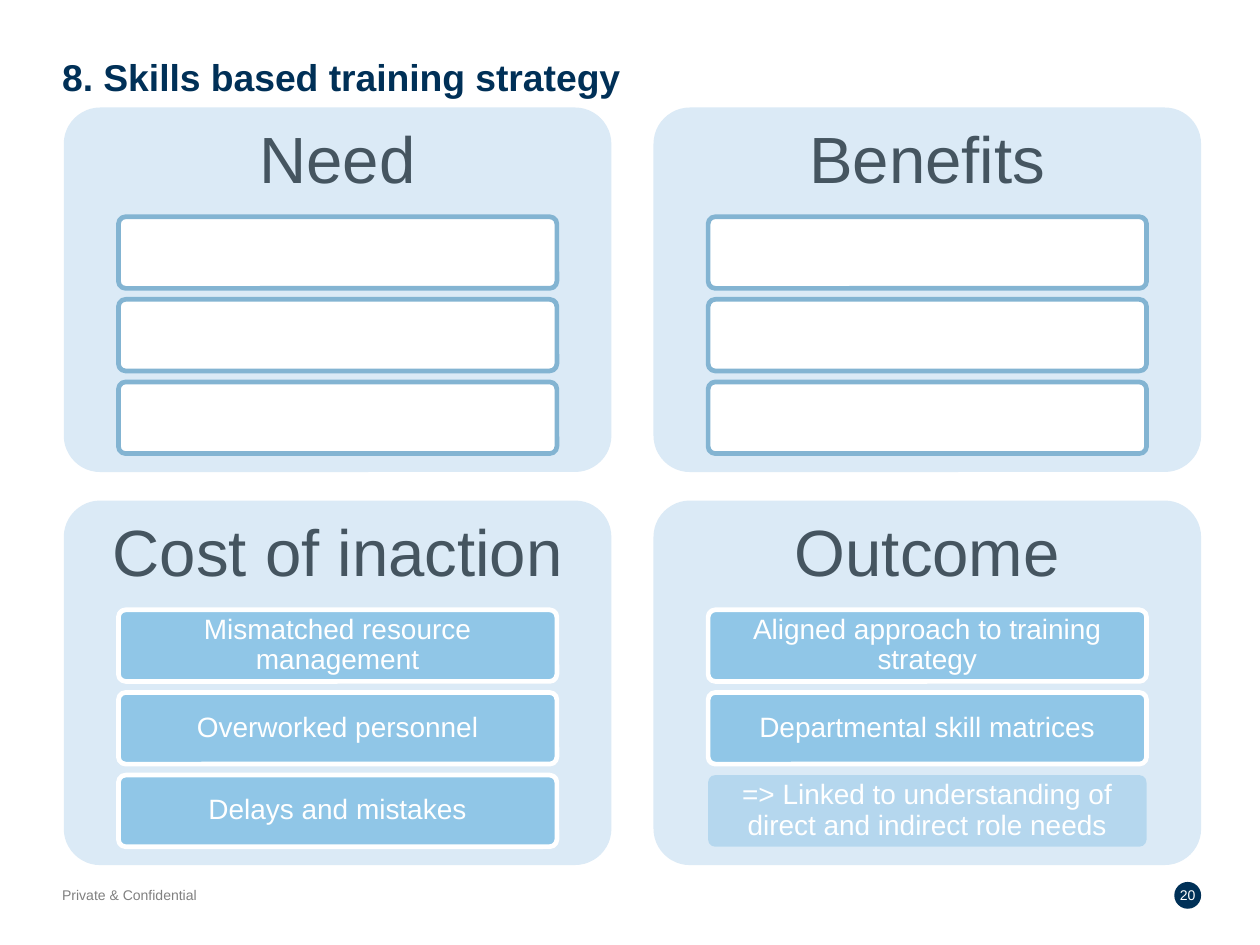
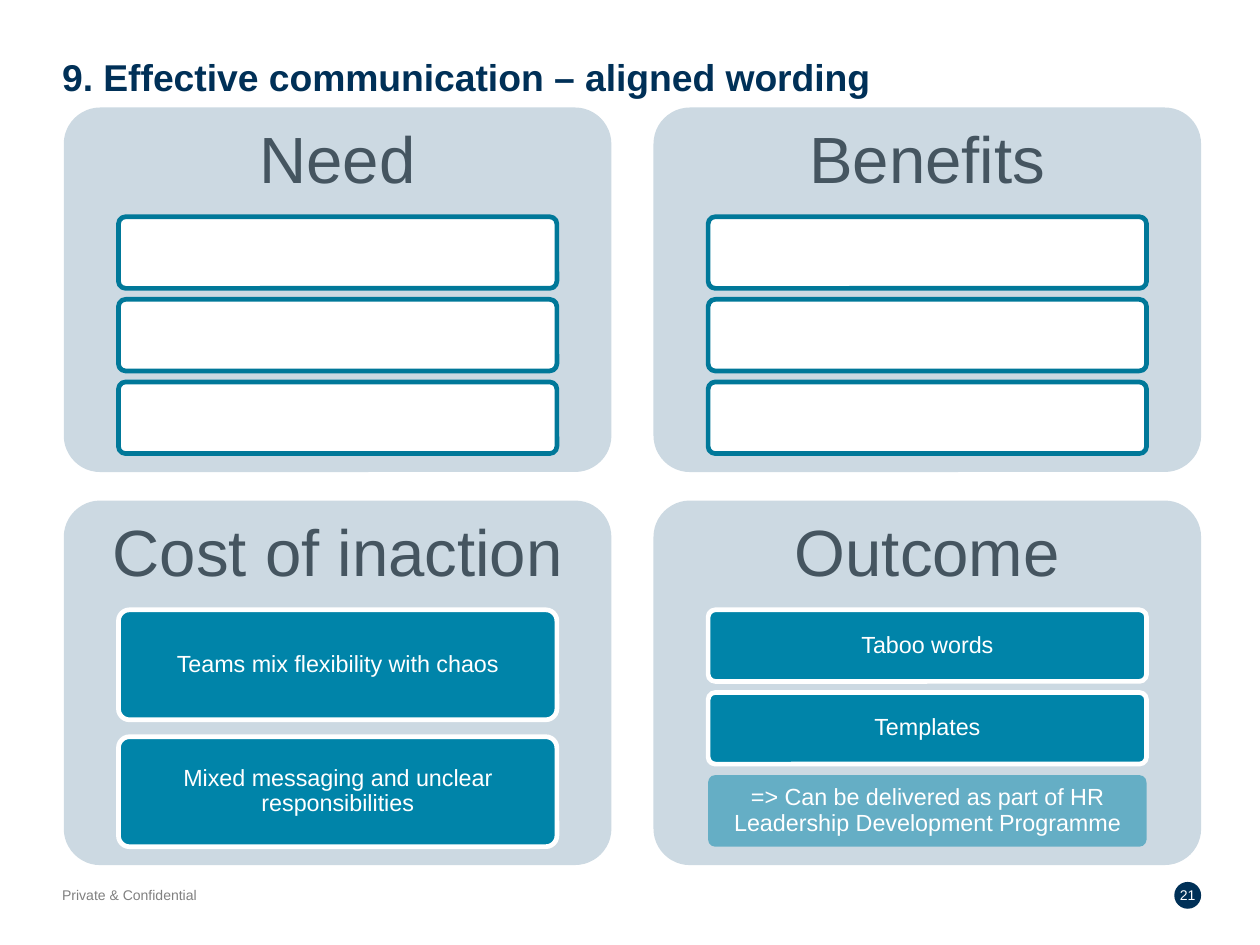
"""Build two strategy slides, each with four panels of stacked cards."""
from dataclasses import dataclass
from typing import Optional

from lxml.etree import SubElement
from pptx import Presentation
from pptx.dml.color import RGBColor
from pptx.enum.shapes import MSO_SHAPE as SHAPE
from pptx.enum.text import MSO_ANCHOR as ANCHOR, PP_ALIGN as ALIGN
from pptx.oxml.ns import qn
from pptx.util import Inches, Pt

WHITE = RGBColor(0xFF, 0xFF, 0xFF)
NAVY = RGBColor(0x00, 0x30, 0x57)
SLATE = RGBColor(0x45, 0x55, 0x60)
GREY = RGBColor(0x80, 0x80, 0x80)
ICE = RGBColor(0xDB, 0xEA, 0xF6)
SKY = RGBColor(0x90, 0xC6, 0xE7)
SKY_EDGE = RGBColor(0x83, 0xB4, 0xD2)
MIST = RGBColor(0xCC, 0xD9, 0xE2)
TEAL = RGBColor(0x00, 0x84, 0xA9)
TEAL_EDGE = RGBColor(0x00, 0x78, 0x99)

FONT = "Arial"
SLIDE_W = 7.5
SLIDE_H = SLIDE_W * 3 / 4
LEFT, TOP = 0.38, 0.64
COLUMN_PITCH, ROW_PITCH = 3.51, 2.34
PANEL_W, PANEL_H, HEADING_H = 3.26, 2.17, 0.65
CARD_W, STACK_H = 2.61, 1.41
GAP_RATIO = 2 / 13
BLANK_CARDS = ("", "", "")


@dataclass(frozen=True)
class Theme:
    panel: RGBColor
    card: RGBColor
    edge: RGBColor
    text_size: int


@dataclass(frozen=True)
class StrategySlide:
    number: int
    title: str
    theme: Theme
    costs: tuple[str, ...]
    outcomes: tuple[str, ...]


SLIDES = [
    StrategySlide(
        20, "8. Skills based training strategy", Theme(ICE, SKY, SKY_EDGE, 12),
        ("Mismatched resource management", "Overworked personnel", "Delays and mistakes"),
        ("Aligned approach to training strategy", "Departmental skill matrices",
         "=> Linked to understanding of direct and indirect role needs")),
    StrategySlide(
        21, "9. Effective communication – aligned wording", Theme(MIST, TEAL, TEAL_EDGE, 10),
        ("Teams mix flexibility with chaos", "Mixed messaging and unclear responsibilities"),
        ("Taboo words", "Templates",
         "=> Can be delivered as part of HR Leadership Development Programme")),
]


def write(sp, text: str, size: int, color: RGBColor, align=ALIGN.LEFT,
          anchor=ANCHOR.TOP, inset: float = 0, spacing: float = 1.0,
          bold: bool = False) -> None:
    tf = sp.text_frame
    tf.word_wrap = True
    tf.vertical_anchor = anchor
    tf.margin_left = tf.margin_right = Inches(inset)
    tf.margin_top = tf.margin_bottom = Inches(inset)
    tf.text = text
    p = tf.paragraphs[0]
    p.alignment = align
    p.line_spacing = spacing
    for r in p.runs:
        r.font.name = FONT
        r.font.size = Pt(size)
        r.font.bold = bold
        r.font.color.rgb = color


def add_box(s, x: float, y: float, w: float, h: float):
    return s.shapes.add_textbox(Inches(x), Inches(y), Inches(w), Inches(h))


def add_block(s, kind, x: float, y: float, w: float, h: float,
              fill: RGBColor, edge: Optional[RGBColor] = None):
    sp = s.shapes.add_shape(kind, Inches(x), Inches(y), Inches(w), Inches(h))
    sp.shadow.inherit = False
    sp.fill.solid()
    sp.fill.fore_color.rgb = fill
    if edge is None:
        sp.line.fill.background()
    else:
        sp.line.color.rgb = edge
        sp.line.width = Pt(2)
    if kind == SHAPE.ROUNDED_RECTANGLE:
        sp.adjustments[0] = 0.1
    return sp


def fade(sp, percent: int) -> None:
    color = sp.element.spPr.find(qn("a:solidFill"))[0]
    SubElement(color, qn("a:alpha"), val=str(percent * 1000))


def add_card(s, x: float, y: float, h: float, text: str, theme: Theme) -> None:
    follow_up = text.startswith("=>")
    fill = theme.card if text else WHITE
    edge = None if follow_up else WHITE if text else theme.edge
    sp = add_block(s, SHAPE.ROUNDED_RECTANGLE, x, y, CARD_W, h, fill, edge)
    if follow_up:
        fade(sp, 50)
    if text:
        write(sp, text, theme.text_size, WHITE, ALIGN.CENTER, ANCHOR.MIDDLE, 0.03, 0.9)


def add_panel(s, x: float, y: float, heading: str, cards: tuple[str, ...], theme: Theme) -> None:
    add_block(s, SHAPE.ROUNDED_RECTANGLE, x, y, PANEL_W, PANEL_H, theme.panel)
    write(add_box(s, x, y, PANEL_W, HEADING_H), heading, 28, SLATE,
          ALIGN.CENTER, ANCHOR.MIDDLE, 0.12, 0.9)
    card_h = STACK_H / (len(cards) + (len(cards) - 1) * GAP_RATIO)
    card_x = x + (PANEL_W - CARD_W) / 2
    for i, text in enumerate(cards):
        add_card(s, card_x, y + HEADING_H + i * card_h * (1 + GAP_RATIO), card_h, text, theme)


def add_frame(s, title: str, number: int) -> None:
    add_block(s, SHAPE.OVAL, 6.99, 5.25, 0.16, 0.16, NAVY)
    write(add_box(s, 6.99, 5.28, 0.16, 0.1), str(number), 6, WHITE, ALIGN.CENTER)
    write(add_box(s, 0.37, 5.28, 1.57, 0.1), "Private & Confidential", 6, GREY)
    write(add_box(s, 0.37, 0.32, 6.77, 0.27), title, 16, NAVY, bold=True)


def add_strategy(prs, item: StrategySlide) -> None:
    s = prs.slides.add_slide(prs.slide_layouts[6])
    add_frame(s, item.title, item.number)
    panels = [("Need", BLANK_CARDS), ("Benefits", BLANK_CARDS),
              ("Cost of inaction", item.costs), ("Outcome", item.outcomes)]
    for i, (heading, cards) in enumerate(panels):
        row, column = divmod(i, 2)
        add_panel(s, LEFT + column * COLUMN_PITCH, TOP + row * ROW_PITCH,
                  heading, cards, item.theme)


def main() -> None:
    prs = Presentation()
    prs.slide_width, prs.slide_height = Inches(SLIDE_W), Inches(SLIDE_H)
    for item in SLIDES:
        add_strategy(prs, item)
    prs.save("out.pptx")


if __name__ == "__main__":
    main()
